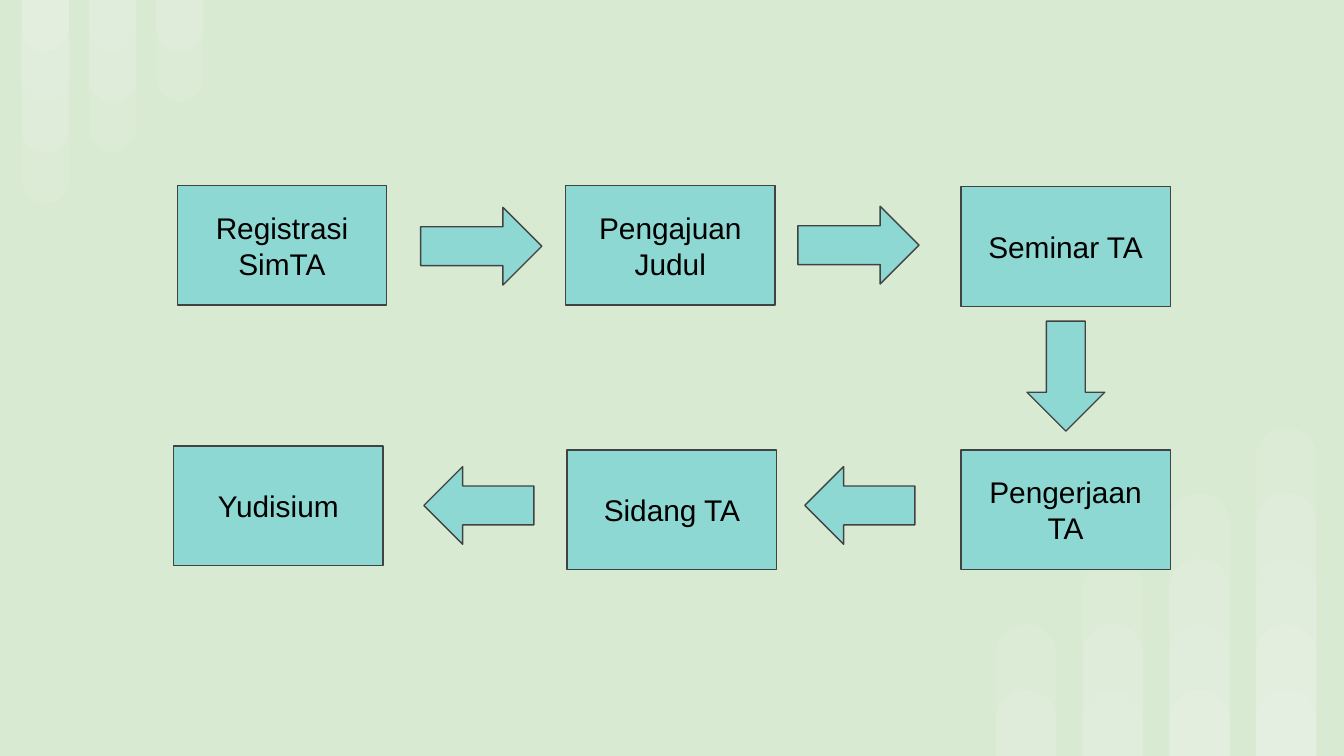
import pptx
import pptx.dml.color
import pptx.enum.shapes
import pptx.enum.text
import pptx.oxml
import pptx.util
from pptx.enum.shapes import MSO_SHAPE
from pptx.util import Cm

COLORS = {"background": "D9EAD3", "bar": "FFFFFF", "step": "8DD8D3",
          "outline": "424242", "text": "000000"}
SLIDE_WIDTH, SLIDE_HEIGHT = 25.4, 14.29
STEP_SIZE = (3.96, 2.26)
STEPS = [
    ("Registrasi SimTA", 0.07, 0), ("Pengajuan Judul", 7.41, 0),
    ("Seminar TA", 14.88, 0.02), ("Pengerjaan TA", 14.88, 5),
    ("Sidang TA", 7.44, 5), ("Yudisium", 0, 4.92),
]
ARROWS = [
    (MSO_SHAPE.RIGHT_ARROW, 4.67, 0.41, 2.29, 1.47),
    (MSO_SHAPE.RIGHT_ARROW, 11.8, 0.39, 2.29, 1.47),
    (MSO_SHAPE.DOWN_ARROW, 16.13, 2.56, 1.47, 2.08),
    (MSO_SHAPE.LEFT_ARROW, 11.93, 5.31, 2.08, 1.47),
    (MSO_SHAPE.LEFT_ARROW, 4.73, 5.31, 2.08, 1.47),
]


def color(name):
    """Return the named colour."""
    return pptx.dml.color.RGBColor.from_string(COLORS[name])


def add_filled(slide, kind, box, fill):
    """Add a flat filled shape in a box given in centimetres."""
    shape = slide.shapes.add_shape(kind, *(Cm(length) for length in box))
    shape.shadow.inherit = False
    shape.fill.solid()
    shape.fill.fore_color.rgb = color(fill)
    return shape


def add_outlined(slide, kind, box):
    """Add a flow shape with its thin dark outline."""
    shape = add_filled(slide, kind, box, "step")
    shape.line.color.rgb = color("outline")
    shape.line.width = pptx.util.Pt(0.75)
    return shape


def add_bars(slide, box, bar_width, layers, hanging):
    """Fill a box with columns of overlapping translucent round-ended bars."""
    left, top, width, height = box
    pitch = (width - bar_width) / (len(layers) - 1)
    unit = height / max(layers)
    for column, count in enumerate(layers):
        for level in range(1, count + 1):
            length = level * unit
            bar_top = top if hanging else top + height - length
            bar = add_filled(slide, MSO_SHAPE.ROUND_2_SAME_RECTANGLE,
                             (left + column * pitch, bar_top, bar_width, length), "bar")
            bar.adjustments[0] = 0.5
            bar.rotation = 180 if hanging else 0
            bar.line.fill.background()
            tint = bar.fill._xPr.find(".//" + pptx.oxml.ns.qn("a:srgbClr"))
            alpha = pptx.oxml.parse_xml(
                f'<a:alpha {pptx.oxml.ns.nsdecls("a")} val="9000"/>')
            tint.append(alpha)


def add_flow(slide, box):
    """Place the thesis steps and the arrows between them in a box."""
    left, top = box[:2]
    for label, x, y in STEPS:
        step = add_outlined(slide, MSO_SHAPE.RECTANGLE, (left + x, top + y, *STEP_SIZE))
        frame = step.text_frame
        frame.word_wrap = True
        frame.vertical_anchor = pptx.enum.text.MSO_ANCHOR.MIDDLE
        frame.margin_left = frame.margin_right = Cm(0.25)
        frame.margin_top = frame.margin_bottom = Cm(0.25)
        paragraph = frame.paragraphs[0]
        paragraph.text = label
        paragraph.alignment = pptx.enum.text.PP_ALIGN.CENTER
        paragraph.font.name = "Arial"
        paragraph.font.size = pptx.util.Pt(16)
        paragraph.font.color.rgb = color("text")
    for kind, x, y, width, height in ARROWS:
        add_outlined(slide, kind, (left + x, top + y, width, height))


def main():
    """Build and save the slide."""
    deck = pptx.Presentation()
    deck.slide_width, deck.slide_height = Cm(SLIDE_WIDTH), Cm(SLIDE_HEIGHT)
    slide = deck.slides.add_slide(deck.slide_layouts[6])
    slide.background.fill.solid()
    slide.background.fill.fore_color.rgb = color("background")
    add_bars(slide, (0.41, 0, 3.43, 3.84), 0.89, [4, 3, 2], hanging=True)
    add_bars(slide, (18.82, 8.08, 6.06, 6.21), 1.14, [2, 3, 4, 5], hanging=False)
    add_flow(slide, (3.28, 3.51, 18.84, 7.26))
    deck.save("out.pptx")


if __name__ == "__main__":
    main()
